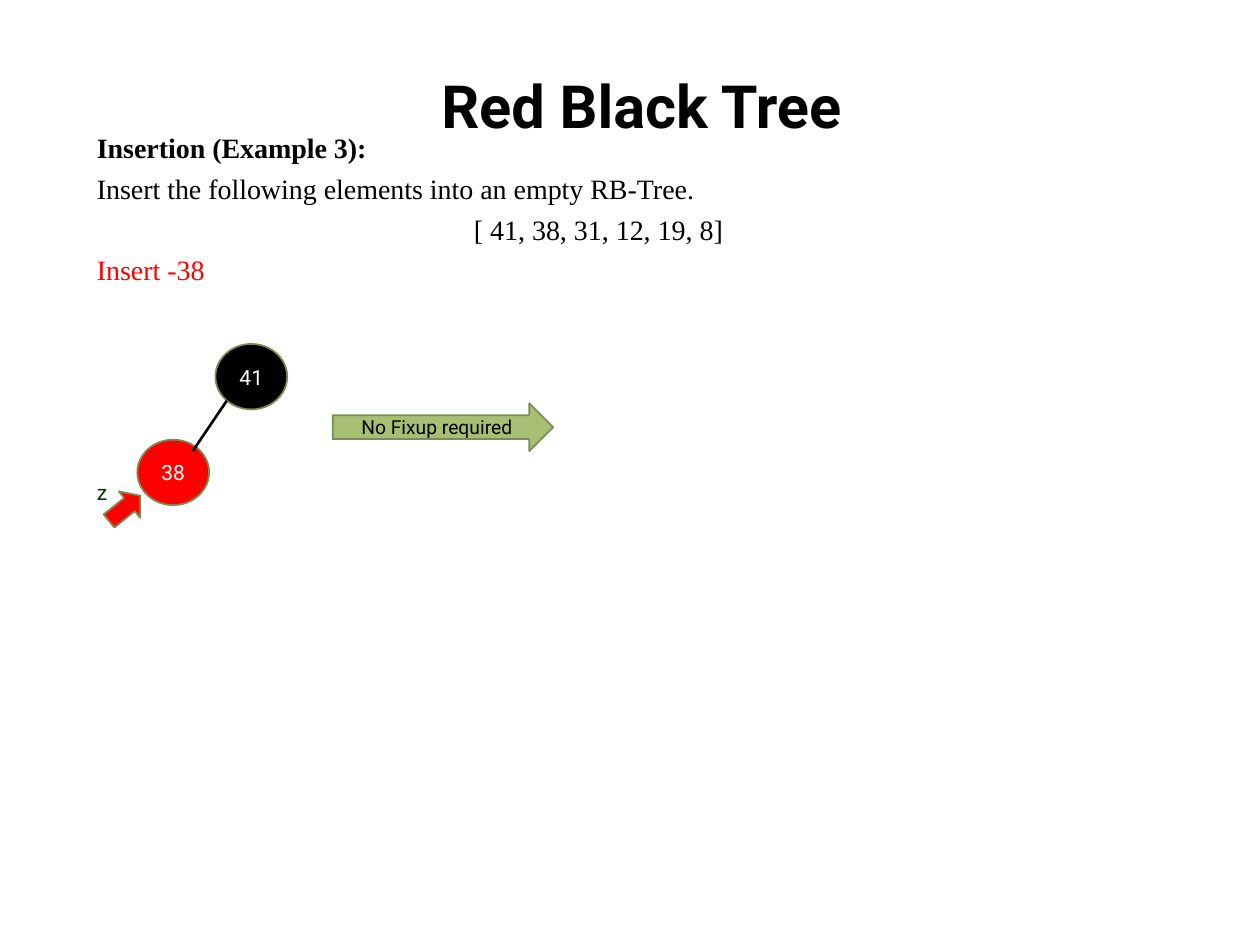
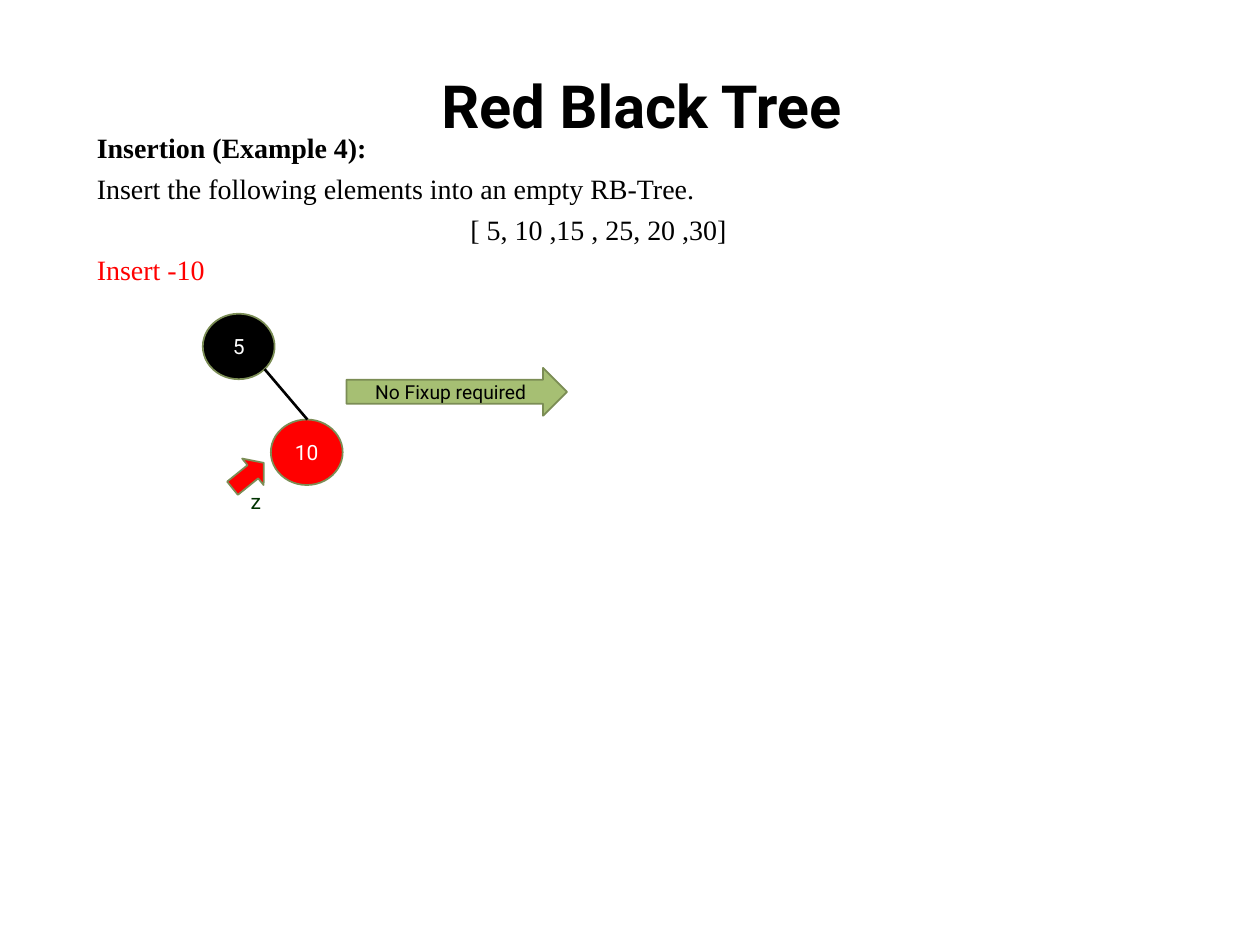
"""Build two slides on insertion into a red-black tree."""
from dataclasses import dataclass

from lxml import etree
from pptx import Presentation
from pptx.dml.color import RGBColor
from pptx.enum.shapes import MSO_CONNECTOR, MSO_SHAPE
from pptx.enum.text import MSO_ANCHOR, MSO_AUTO_SIZE, PP_ALIGN
from pptx.oxml.ns import qn
from pptx.util import Inches, Pt

BLACK = RGBColor(0x00, 0x00, 0x00)
WHITE = RGBColor(0xFF, 0xFF, 0xFF)
RED = RGBColor(0xFF, 0x00, 0x00)
GREEN = RGBColor(0xA6, 0xBF, 0x73)
OLIVE = RGBColor(0x7B, 0x8D, 0x55)
DARK_GREEN = RGBColor(0x00, 0x33, 0x00)

SANS, SERIF = "Roboto", "Times New Roman"
ELLIPSE, RIGHT_ARROW = MSO_SHAPE.OVAL, MSO_SHAPE.RIGHT_ARROW
STRAIGHT = MSO_CONNECTOR.STRAIGHT
LEFT, CENTER, JUSTIFY = PP_ALIGN.LEFT, PP_ALIGN.CENTER, PP_ALIGN.JUSTIFY
TOP, MIDDLE = MSO_ANCHOR.TOP, MSO_ANCHOR.MIDDLE
NO_AUTOFIT = MSO_AUTO_SIZE.NONE

SLIDE_W, SLIDE_H = Inches(10), Inches(7.5)
COL, ROW = SLIDE_W / 100, SLIDE_H / 100

Point = tuple[float, float]

NODE_SIZE: Point = (5.7, 6.93)
NOTE_SIZE: Point = (17.5, 5.07)
POINTER_SIZE: Point = (3.2, 3.6)
MARK_SIZE: Point = (2.7, 4)


@dataclass(frozen=True)
class Style:
    """Look of a piece of text."""

    font: str
    size: float
    color: RGBColor
    bold: bool = False
    align: PP_ALIGN = CENTER


@dataclass(frozen=True)
class Node:
    """Tree node with its key, position and colour."""

    key: str
    at: Point
    color: RGBColor


@dataclass(frozen=True)
class Example:
    """One insertion step, with positions in columns and rows."""

    number: int
    elements: str
    parent: Node
    child: Node
    edge: tuple[Point, Point]
    mark: Point
    pointer: Point
    note: Point


TITLE = Style(SANS, 34, BLACK, bold=True)
KEY = Style(SANS, 12, WHITE)
NOTE = Style(SANS, 11, BLACK)
MARK = Style(SANS, 12, DARK_GREEN, align=LEFT)
HEADING = Style(SERIF, 16, BLACK, bold=True, align=JUSTIFY)
BODY = Style(SERIF, 16, BLACK, align=JUSTIFY)
LIST = Style(SERIF, 16, BLACK)
STEP = Style(SERIF, 16, RED, align=LEFT)

EXAMPLES = [
    Example(3, "[ 41, 38, 31, 12, 19, 8]",
            Node("41", (17.1, 36.4), BLACK), Node("38", (10.9, 46.53), RED),
            edge=((18, 42.4), (15.3, 47.73)), mark=(6.7, 50.13),
            pointer=(8.3, 52), note=(26.4, 42.67)),
    Example(4, "[ 5, 10 ,15 , 25, 20 ,30]",
            Node("5", (16.1, 33.2), BLACK), Node("10", (21.5, 44.4), RED),
            edge=((21, 39.07), (24.4, 44.4)), mark=(18.9, 51.07),
            pointer=(18.1, 48.53), note=(27.5, 38.93)),
]


def scale(at: Point) -> tuple[int, int]:
    """Turn columns and rows into slide units."""
    return round(at[0] * COL), round(at[1] * ROW)


def write(shape, lines: list[tuple[str, Style]], anchor=TOP) -> None:
    """Fill a shape with one styled paragraph per line."""
    tf = shape.text_frame
    tf.text = "\n".join(text for text, _ in lines)
    tf.word_wrap = True
    tf.auto_size = NO_AUTOFIT
    tf.vertical_anchor = anchor
    for i, (p, (_, style)) in enumerate(zip(tf.paragraphs, lines)):
        p.alignment = style.align
        p.space_before = Pt(4 if i else 0)
        for r in p.runs:
            r.font.name = style.font
            r.font.size = Pt(style.size)
            r.font.bold = style.bold
            r.font.color.rgb = style.color


def add_text(s, at: Point, size: Point, lines: list[tuple[str, Style]]) -> None:
    """Add a text box."""
    write(s.shapes.add_textbox(*scale(at), *scale(size)), lines)


def add_outlined(s, kind, at: Point, size: Point, fill: RGBColor):
    """Add a filled shape with the olive outline."""
    sp = s.shapes.add_shape(kind, *scale(at), *scale(size))
    sp.shadow.inherit = False
    sp.fill.solid()
    sp.fill.fore_color.rgb = fill
    sp.line.color.rgb = OLIVE
    sp.line.width = Pt(1)
    return sp


def add_node(s, node: Node) -> None:
    """Add a tree node with its key."""
    sp = add_outlined(s, ELLIPSE, node.at, NODE_SIZE, node.color)
    sp.text_frame.margin_left = sp.text_frame.margin_right = 0
    write(sp, [(node.key, KEY)], MIDDLE)


def add_edge(s, start: Point, end: Point) -> None:
    """Add a plain line between two nodes."""
    line = s.shapes.add_connector(STRAIGHT, *scale(start), *scale(end))
    line.line.color.rgb = BLACK
    line.line.width = Pt(1.5)
    etree.SubElement(line._element.spPr, qn("a:effectLst"))


def add_pointer(s, at: Point) -> None:
    """Add the tilted red arrow that points at the new node."""
    sp = add_outlined(s, RIGHT_ARROW, at, POINTER_SIZE, RED)
    sp.adjustments[1] = 0.415
    sp.rotation = 321


def add_title(s) -> None:
    """Place and format the title."""
    title = s.shapes.title
    title.left, title.top = scale((5.9, 5.87))
    title.width, title.height = scale((90, 10.53))
    write(title, [("Red Black Tree", TITLE)], MIDDLE)


def add_example(prs, ex: Example) -> None:
    """Add one slide with its task, tree and note."""
    s = prs.slides.add_slide(prs.slide_layouts[5])
    add_title(s)
    add_text(s, (6.7, 13.2), (81.6, 17.87), [
        (f"Insertion (Example {ex.number}):", HEADING),
        ("Insert the following elements into an empty RB-Tree.", BODY),
        (ex.elements, LIST),
        (f"Insert -{ex.child.key}", STEP),
    ])
    note = add_outlined(s, RIGHT_ARROW, ex.note, NOTE_SIZE, GREEN)
    write(note, [("No Fixup required", NOTE)], MIDDLE)
    add_node(s, ex.parent)
    add_node(s, ex.child)
    add_text(s, ex.mark, MARK_SIZE, [("z", MARK)])
    add_pointer(s, ex.pointer)
    add_edge(s, *ex.edge)


def main() -> None:
    """Build and save the presentation."""
    prs = Presentation()
    prs.slide_width, prs.slide_height = SLIDE_W, SLIDE_H
    for ex in EXAMPLES:
        add_example(prs, ex)
    prs.save("out.pptx")


if __name__ == "__main__":
    main()
